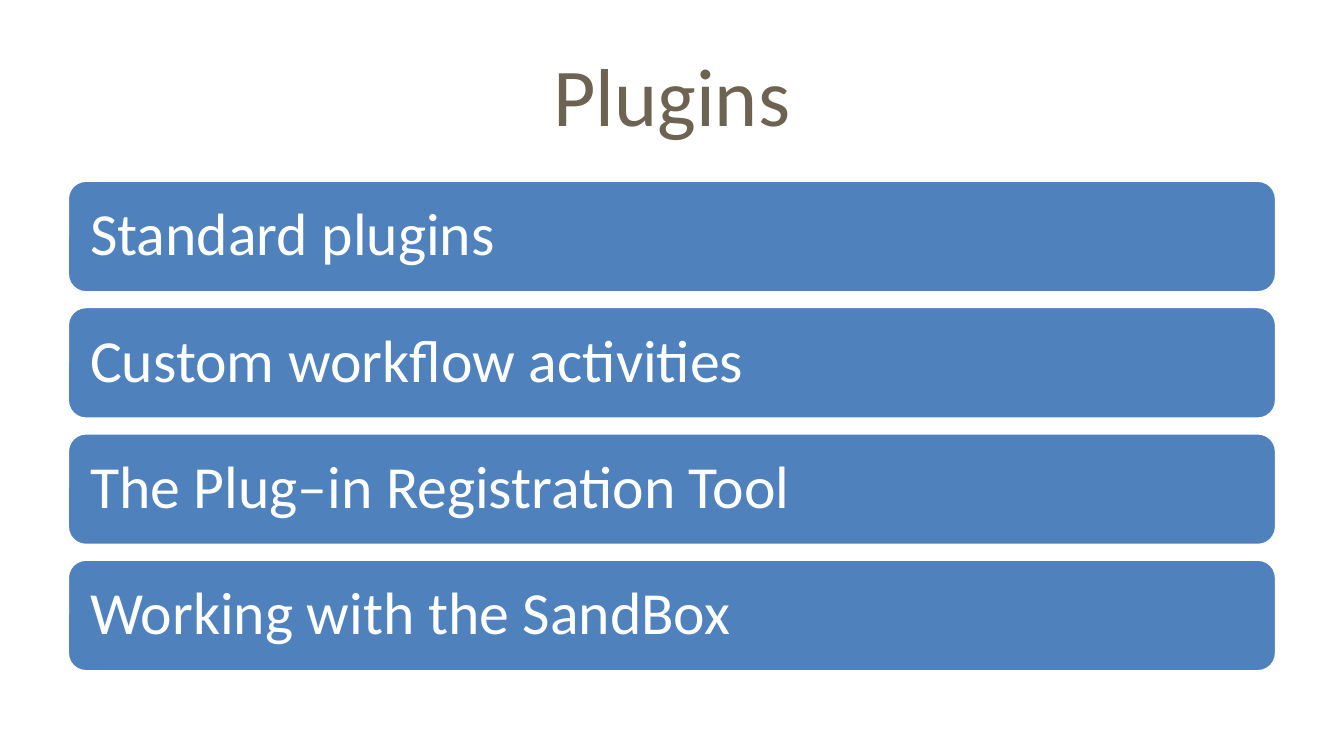
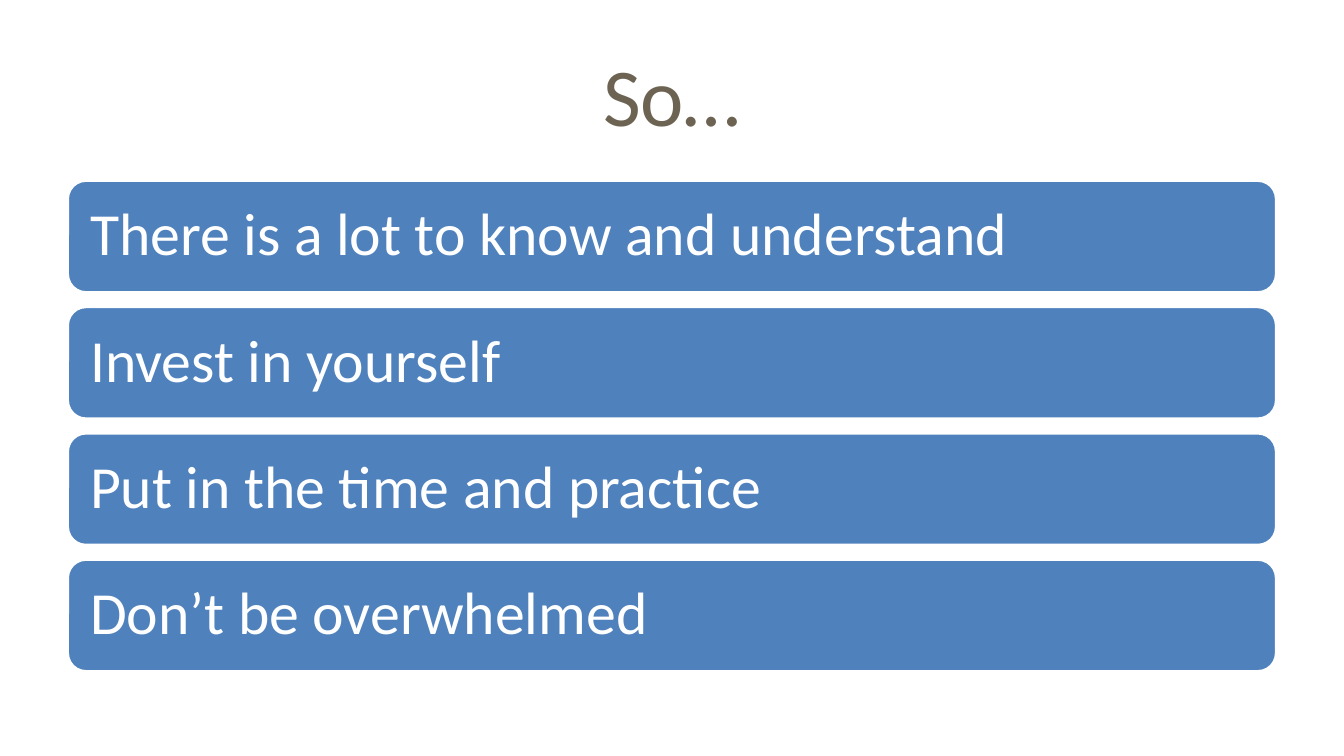
from pptx import Presentation
from pptx.dml.color import RGBColor
from pptx.enum.shapes import MSO_SHAPE
from pptx.enum.text import MSO_ANCHOR, PP_ALIGN
from pptx.util import Emu, Pt

# Shared measures in px, 200 to the inch
SCALE = 914400 // 200
SLIDE_W, SLIDE_H = 2000, 1125
LEFT, WIDTH = 100, 1800
TITLE_TOP, TITLE_H = 46, 188
BAR_TOP, BAR_H, BAR_GAP = 268, 168, 20
BAR_INSET = 26

# Shared style
FONT = "Calibri"
TITLE_COLOR = "6C6352"
BAR_COLOR = "4F81BD"
WHITE = "FFFFFF"

SLIDES = [
    ("Plugins", [
        "Standard plugins",
        "Custom workflow activities",
        "The Plug–in Registration Tool",
        "Working with the SandBox",
    ]),
    ("So…", [
        "There is a lot to know and understand",
        "Invest in yourself",
        "Put in the time and practice",
        "Don’t be overwhelmed",
    ]),
]


def px(n):
    return Emu(n * SCALE)


def rgb(color):
    return RGBColor.from_string(color)


class Deck:
    def __init__(self):
        self.prs = Presentation()
        self.prs.slide_width, self.prs.slide_height = px(SLIDE_W), px(SLIDE_H)
        self.s = None

    def new_slide(self):
        self.s = self.prs.slides.add_slide(self.prs.slide_layouts[6])
        fill = self.s.background.fill
        fill.solid()
        fill.fore_color.rgb = rgb(WHITE)

    def text(self, sp, text, size, color, align):
        tf = sp.text_frame
        tf.word_wrap = True
        tf.vertical_anchor = MSO_ANCHOR.MIDDLE
        p = tf.paragraphs[0]
        p.alignment = align
        r = p.add_run()
        r.text = text
        r.font.name = FONT
        r.font.size = Pt(size)
        r.font.color.rgb = rgb(color)
        return tf

    def title(self, text):
        sp = self.s.shapes.add_textbox(px(LEFT), px(TITLE_TOP), px(WIDTH), px(TITLE_H))
        self.text(sp, text, 44, TITLE_COLOR, PP_ALIGN.CENTER)

    def bar(self, top, text):
        sp = self.s.shapes.add_shape(MSO_SHAPE.ROUNDED_RECTANGLE,
                                     px(LEFT), px(top), px(WIDTH), px(BAR_H))
        sp.shadow.inherit = False
        sp.fill.solid()
        sp.fill.fore_color.rgb = rgb(BAR_COLOR)
        sp.line.color.rgb = rgb(WHITE)
        sp.line.width = Pt(2)
        tf = self.text(sp, text, 32, WHITE, PP_ALIGN.LEFT)
        tf.margin_left = tf.margin_right = px(BAR_INSET)
        tf.margin_top = tf.margin_bottom = px(BAR_INSET)
        tf.paragraphs[0].line_spacing = 0.9

    def bars(self, texts):
        for i, text in enumerate(texts):
            self.bar(BAR_TOP + i * (BAR_H + BAR_GAP), text)


def main():
    deck = Deck()
    for title, points in SLIDES:
        deck.new_slide()
        deck.title(title)
        deck.bars(points)
    deck.prs.save("out.pptx")


if __name__ == "__main__":
    main()
